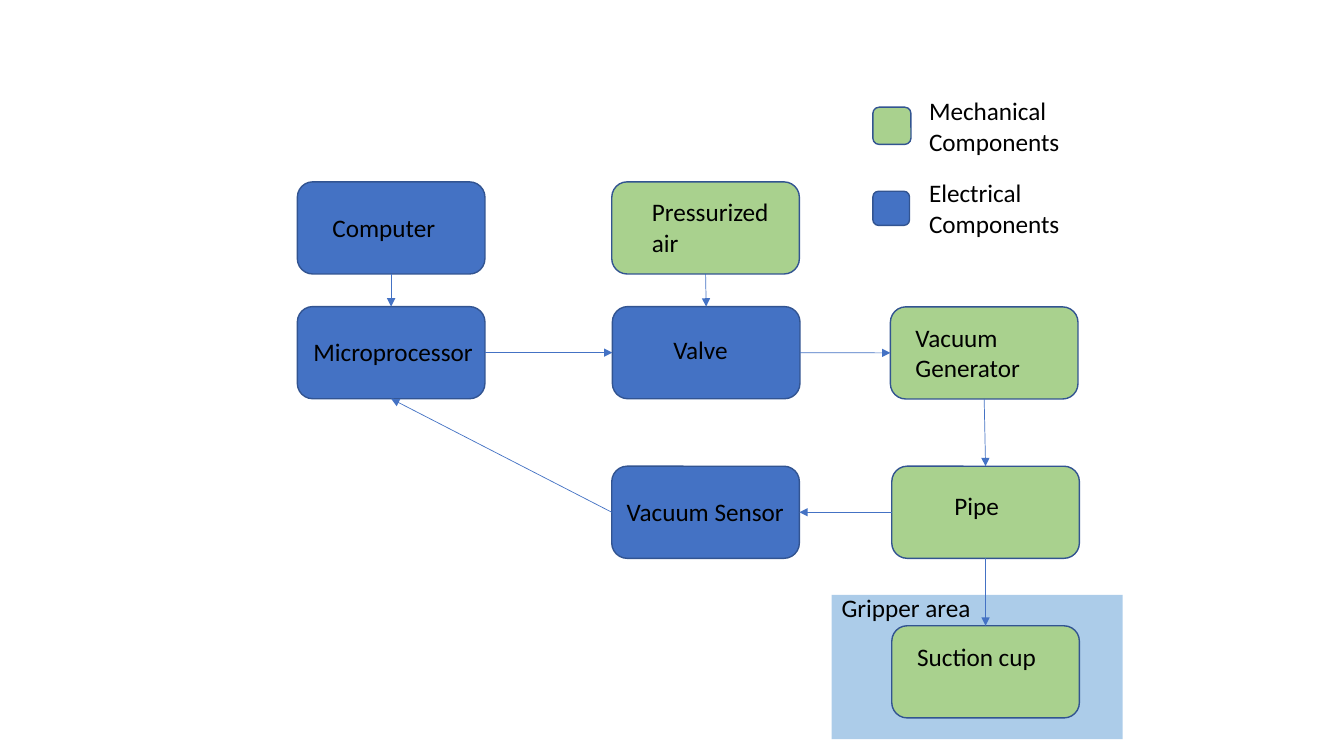
from dataclasses import dataclass

from lxml import etree
from pptx import Presentation
from pptx.dml.color import RGBColor
from pptx.enum.shapes import MSO_CONNECTOR, MSO_SHAPE
from pptx.oxml.ns import qn
from pptx.util import Pt

ROUND = MSO_SHAPE.ROUNDED_RECTANGLE
RECT = MSO_SHAPE.RECTANGLE
STRAIGHT = MSO_CONNECTOR.STRAIGHT
TOP, LEFT, BOTTOM, RIGHT = range(4)


@dataclass(frozen=True)
class Theme:
    font: str = "Calibri"
    size: float = 18
    text: str = "000000"
    mech: str = "A9D18E"
    elec: str = "4472C4"
    edge: str = "325491"
    arrow: str = "4472C4"
    area: str = "5B9BD5"
    alpha: int = 50000
    rim: float = 1
    thin: float = 0.5


THEME = Theme()
WIDE, HIGH = 134, 65.8
ONE, TWO = 29, 51

NODES = {
    "Computer": (212.4, 129.9, THEME.elec, 18, 18, 98.6, ONE),
    "Pressurized air": (437, 129.9, THEME.mech, 21.6, 7, 98.6, TWO),
    "Microprocessor": (212.4, 219, THEME.elec, 4.3, 18, 130.3, ONE),
    "Valve": (437.4, 219, THEME.elec, 36.4, 16.3, 108.7, ONE),
    "Vacuum Generator": (636, 219.2, THEME.mech, 10.8, 7.5, 114.5, TWO),
    "Vacuum Sensor": (437, 333, THEME.elec, 3.6, 18.3, 134, ONE),
    "Pipe": (637, 333, THEME.mech, 37.7, 14, 108.7, ONE),
    "Suction cup": (637, 447, THEME.mech, 11, 7.3, 108.7, ONE),
}

LINKS = [
    ("Computer", BOTTOM, "Microprocessor", TOP),
    ("Pressurized air", BOTTOM, "Valve", TOP),
    ("Microprocessor", RIGHT, "Valve", LEFT),
    ("Valve", RIGHT, "Vacuum Generator", LEFT),
    ("Vacuum Generator", BOTTOM, "Pipe", TOP),
    ("Pipe", LEFT, "Vacuum Sensor", RIGHT),
    ("Pipe", BOTTOM, "Suction cup", TOP),
    ("Vacuum Sensor", LEFT, "Microprocessor", BOTTOM),
]


def color(code):
    return RGBColor.from_string(code)


def add_block(slide, kind, x, y, w, h, fill):
    shape = slide.shapes.add_shape(kind, Pt(x), Pt(y), Pt(w), Pt(h))
    shape.shadow.inherit = False
    shape.fill.solid()
    shape.fill.fore_color.rgb = color(fill)
    shape.line.color.rgb = color(THEME.edge)
    shape.line.width = Pt(THEME.rim)
    return shape


def add_label(slide, text, x, y, w, h):
    frame = slide.shapes.add_textbox(Pt(x), Pt(y), Pt(w), Pt(h)).text_frame
    frame.word_wrap = True
    frame.text = text
    font = frame.paragraphs[0].runs[0].font
    font.name = THEME.font
    font.size = Pt(THEME.size)
    font.color.rgb = color(THEME.text)


def add_node(slide, text, x, y, fill, dx, dy, w, h):
    shape = add_block(slide, ROUND, x, y, WIDE, HIGH, fill)
    add_label(slide, text, x + dx, y + dy, w, h)
    return shape


def add_arrow(slide, start, out, end, into):
    line = slide.shapes.add_connector(STRAIGHT, 0, 0, 0, 0)
    line.begin_connect(start, out)
    line.end_connect(end, into)
    line.line.color.rgb = color(THEME.arrow)
    line.line.width = Pt(THEME.thin)
    tail = etree.SubElement(line.line._get_or_add_ln(), qn("a:tailEnd"))
    tail.set("type", "triangle")
    etree.SubElement(line._element.spPr, qn("a:effectLst"))


def add_area(slide, x, y, w, h):
    shape = add_block(slide, RECT, x, y, w, h, THEME.area)
    shape.line.fill.background()
    tint = shape._element.spPr.find(qn("a:solidFill"))[0]
    etree.SubElement(tint, qn("a:alpha")).set("val", str(THEME.alpha))
    add_label(slide, "Gripper area", x, y - 5.8, 113.8, ONE)


def add_flow(slide):
    nodes = {text: add_node(slide, text, *data) for text, data in NODES.items()}
    for start, out, end, into in LINKS:
        add_arrow(slide, nodes[start], out, nodes[end], into)


def add_legend(slide, x, y):
    rows = [("Mechanical Components", THEME.mech, 0, 11.8, 27.2, 26.6),
            ("Electrical Components", THEME.elec, 58.6, 13.2, 26.2, 24.4)]
    for text, fill, top, gap, w, h in rows:
        add_block(slide, ROUND, x, y + top + gap, w, h, fill)
        add_label(slide, text, x + 33, y + top, 114.5, TWO)


def main():
    deck = Presentation()
    deck.slide_width, deck.slide_height = Pt(960), Pt(540)
    slide = deck.slides.add_slide(deck.slide_layouts[6])
    add_area(slide, 594, 425, 208, 103)
    add_flow(slide)
    add_legend(slide, 623.5, 64.8)
    deck.save("out.pptx")


if __name__ == "__main__":
    main()
